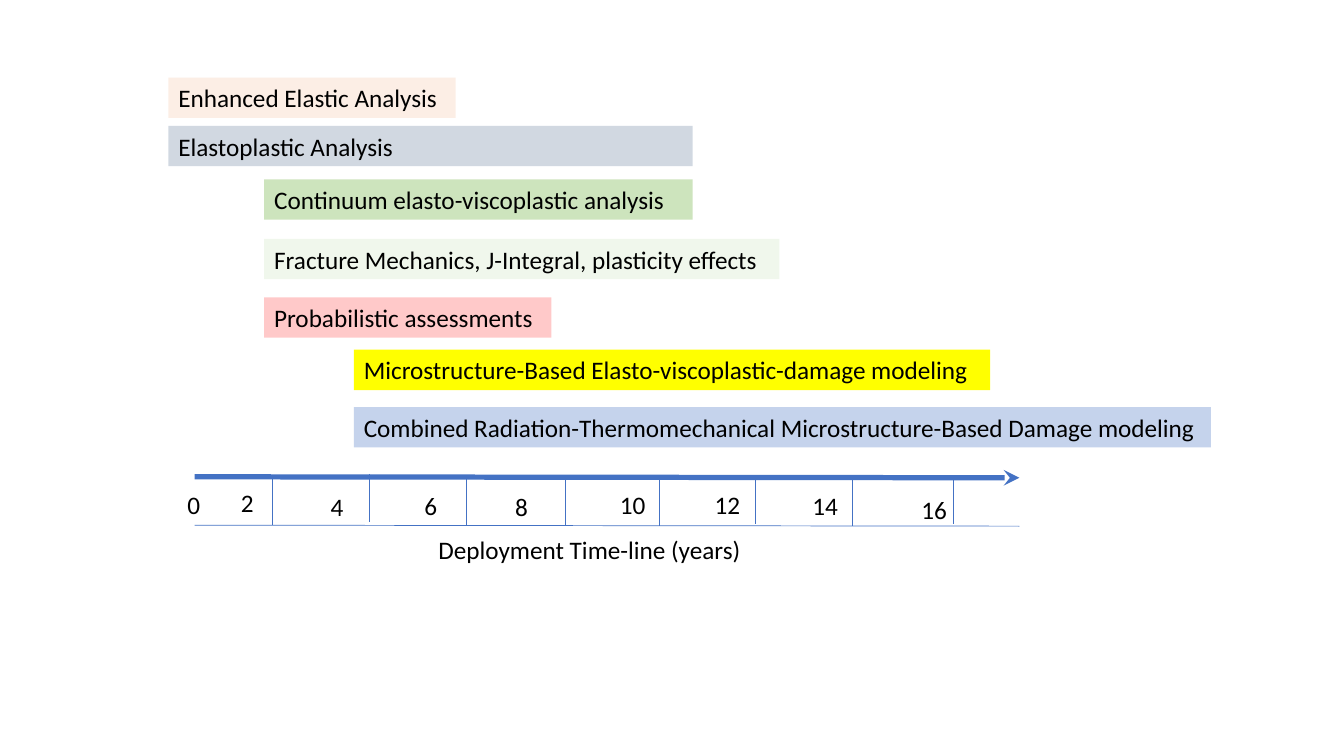
from dataclasses import dataclass

from lxml import etree
from pptx import Presentation
from pptx import util as u
from pptx.dml.color import RGBColor
from pptx.enum import shapes, text
from pptx.oxml.ns import qn

PX = 9144  # EMU; 100 px to the inch


@dataclass(frozen=True)
class Theme:
    font: str = "Calibri"
    size: int = 18
    ink: str = "000000"
    axis: str = "4472C4"
    thick: float = 3.75
    thin: float = 0.5
    peach: str = "FBE5D6"
    slate: str = "ADB9CA"
    green: str = "A9D18E"
    mint: str = "E2F0D9"
    red: str = "FF0000"
    yellow: str = "FFFF00"
    blue: str = "4472C4"


@dataclass(frozen=True)
class Bar:
    label: str
    left: int
    top: int
    width: int
    fill: str
    alpha: int = 100


@dataclass(frozen=True)
class Tick:
    x: int
    top: int


@dataclass(frozen=True)
class Label:
    words: str
    left: int
    top: int
    width: int = 33


THEME = Theme()
ROW = 40
TICK = 48
NOW, SOON, LATE = 167, 262, 351  # starts of the three phases
START, END = 193, 1011

BARS = [
    Bar("Enhanced Elastic Analysis", NOW, 77, 285, THEME.peach, 62),
    Bar("Elastoplastic Analysis", NOW, 125, 520, THEME.slate, 55),
    Bar("Continuum elasto-viscoplastic analysis", SOON, 178, 425, THEME.green, 58),
    Bar("Fracture Mechanics, J-Integral, plasticity effects", SOON, 237, 511, THEME.mint, 49),
    Bar("Probabilistic assessments", SOON, 295, 285, THEME.red, 21),
    Bar("Microstructure-Based Elasto-viscoplastic-damage modeling", LATE, 347, 631, THEME.yellow),
    Bar("Combined Radiation-Thermomechanical Microstructure-Based Damage modeling",
        LATE, 404, 850, THEME.blue, 31),
]
TICKS = [Tick(270, 473), Tick(366, 470), Tick(463, 474), Tick(561, 474),
         Tick(654, 474), Tick(749, 472), Tick(845, 474), Tick(946, 472)]
LABELS = [
    Label("0", 176, 481), Label("2", 229, 479), Label("4", 318, 483),
    Label("6", 411, 482), Label("8", 501, 483), Label("10", 605, 481, 46),
    Label("12", 699, 481, 46), Label("14", 796, 482, 46), Label("16", 904, 486, 46),
    Label("Deployment Time-line (years)", 425, 525, 323),
]


def write(shape, words: str, *, wrap: bool = False, size: int = THEME.size,
          color: str = THEME.ink) -> None:
    frame = shape.text_frame
    frame.word_wrap = wrap
    frame.auto_size = text.MSO_AUTO_SIZE.SHAPE_TO_FIT_TEXT
    frame.vertical_anchor = text.MSO_ANCHOR.TOP
    para = frame.paragraphs[0]
    para.alignment = text.PP_ALIGN.LEFT
    run = para.add_run()
    run.text = words
    run.font.name = THEME.font
    run.font.size = u.Pt(size)
    run.font.color.rgb = RGBColor.from_string(color)


def draw_bar(slide, bar: Bar) -> None:
    shape = slide.shapes.add_shape(
        shapes.MSO_SHAPE.RECTANGLE, bar.left * PX, bar.top * PX, bar.width * PX, ROW * PX)
    shape.shadow.inherit = False
    shape.line.fill.background()
    shape.fill.solid()
    shape.fill.fore_color.rgb = RGBColor.from_string(bar.fill)
    if bar.alpha < 100:
        color = shape._element.spPr.find(f"{qn('a:solidFill')}/{qn('a:srgbClr')}")
        etree.SubElement(color, qn("a:alpha"), val=str(bar.alpha * 1000))
    write(shape, bar.label, wrap=True)


def draw_line(slide, x1: int, y1: int, x2: int, y2: int, width: float = THEME.thin,
              arrow: bool = False) -> None:
    line = slide.shapes.add_connector(
        shapes.MSO_CONNECTOR.STRAIGHT, x1 * PX, y1 * PX, x2 * PX, y2 * PX)
    line.line.color.rgb = RGBColor.from_string(THEME.axis)
    line.line.width = u.Pt(width)
    if arrow:
        etree.SubElement(line.line._get_or_add_ln(), qn("a:tailEnd"), type="stealth")
    etree.SubElement(line._element.spPr, qn("a:effectLst"))


def draw_label(slide, label: Label) -> None:
    box = slide.shapes.add_textbox(
        label.left * PX, label.top * PX, label.width * PX, ROW * PX)
    write(box, label.words)


def main() -> None:
    deck = Presentation()
    deck.slide_width, deck.slide_height = 1333 * PX, 750 * PX
    slide = deck.slides.add_slide(deck.slide_layouts[6])
    for bar in BARS:
        draw_bar(slide, bar)
    draw_line(slide, START, 473, END, 474, THEME.thick, arrow=True)
    draw_line(slide, START, 521, END, 522)
    for tick in TICKS:
        draw_line(slide, tick.x, tick.top, tick.x, tick.top + TICK)
    for label in LABELS:
        draw_label(slide, label)
    deck.save("out.pptx")


if __name__ == "__main__":
    main()
